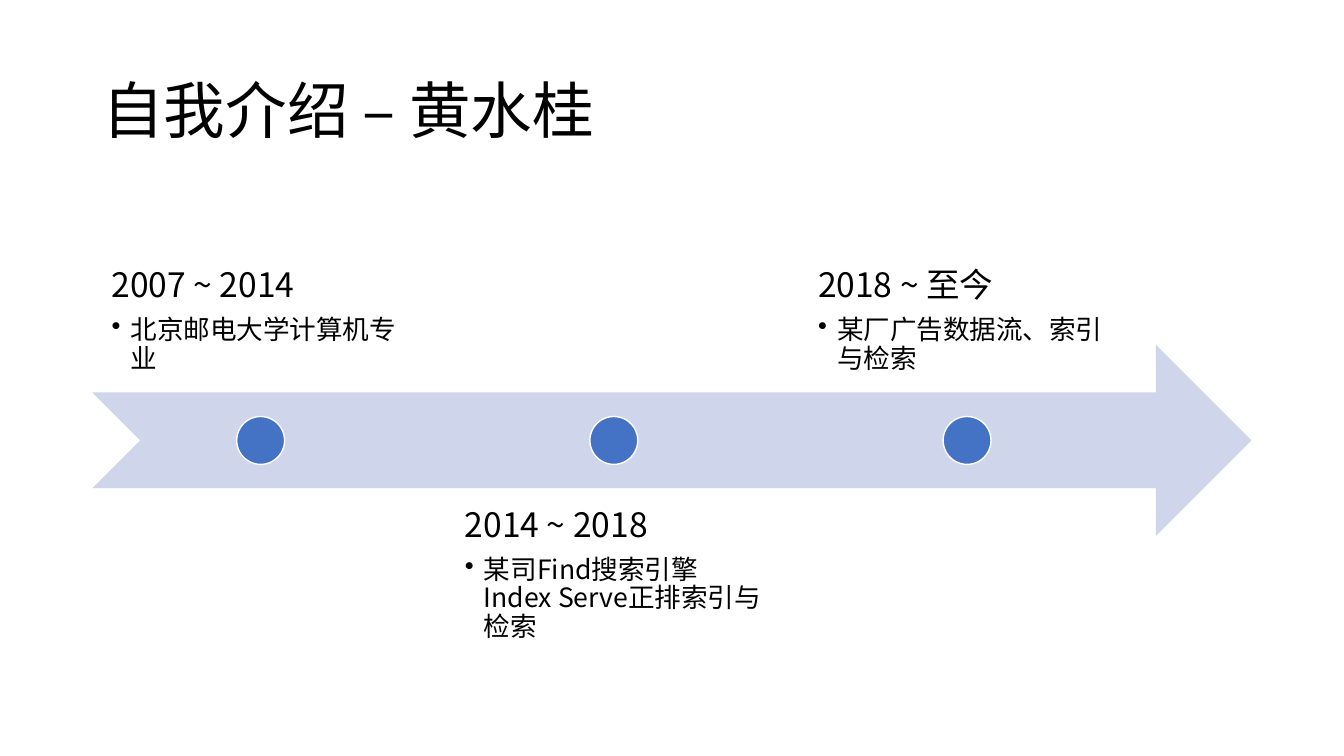
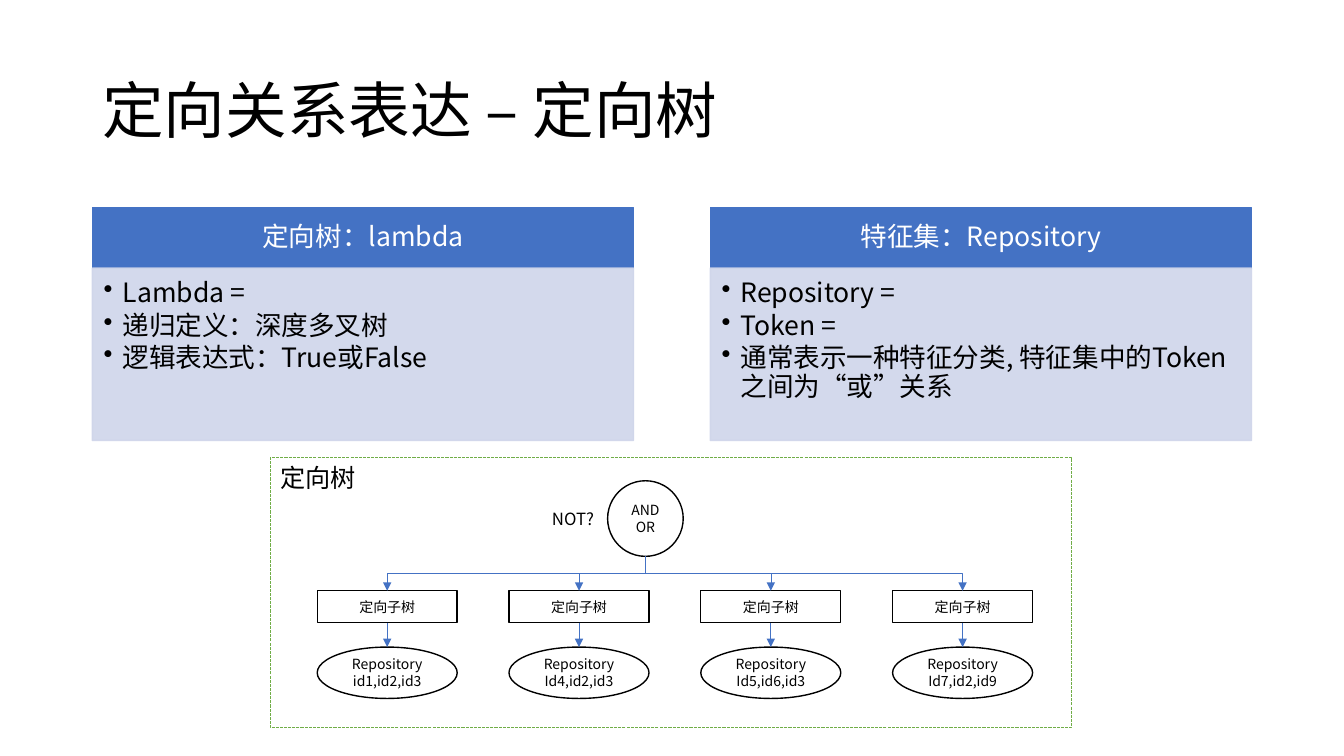
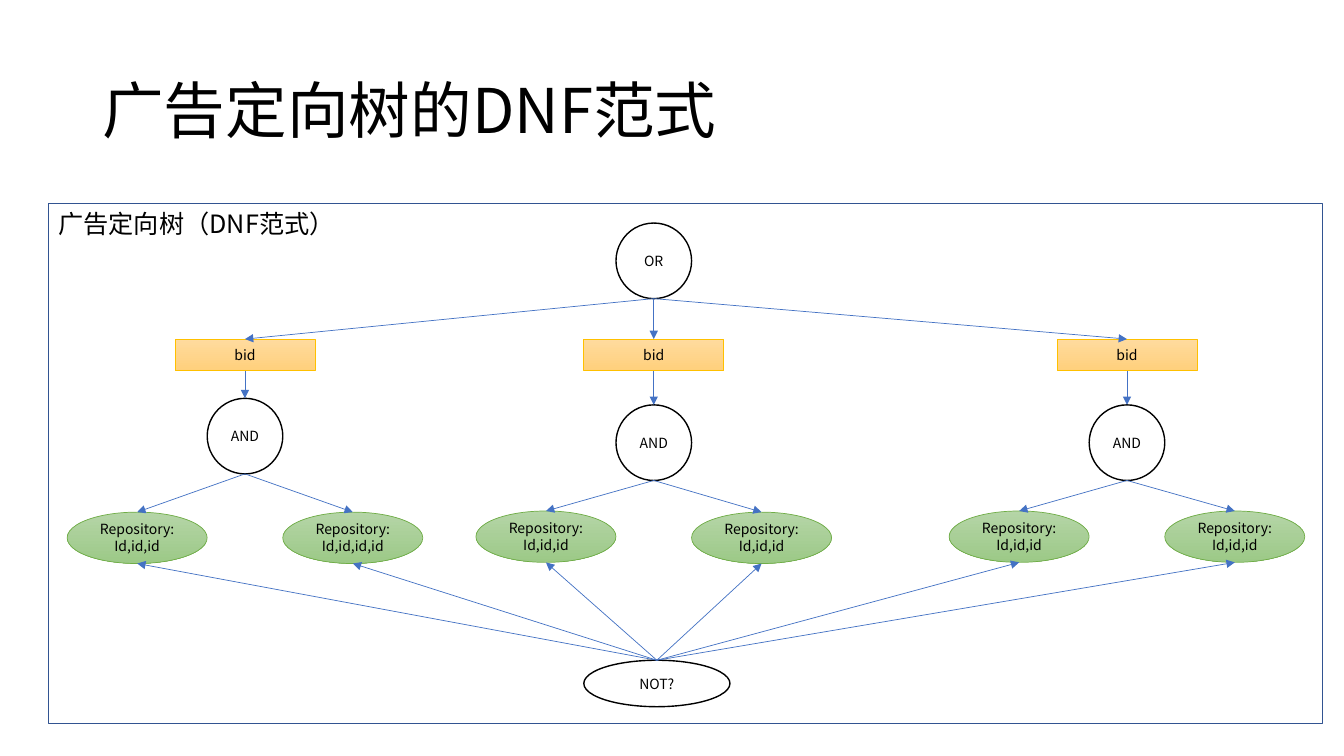
"""Build three slides on ad targeting: a career timeline, a targeting tree and its DNF form."""
from pptx import Presentation
from pptx.dml.color import RGBColor
from pptx.enum.dml import MSO_LINE
from pptx.enum.shapes import MSO_CONNECTOR as CONN, MSO_SHAPE as SHAPE
from pptx.enum.text import MSO_ANCHOR as ANCHOR, PP_ALIGN as ALIGN
from pptx.oxml.ns import qn
from pptx.util import Pt
from lxml.etree import SubElement

FONT = "Noto Sans CJK SC"
BLACK = RGBColor(0x00, 0x00, 0x00)
WHITE = RGBColor(0xFF, 0xFF, 0xFF)
BLUE = RGBColor(0x44, 0x72, 0xC4)
PALE = RGBColor(0xCF, 0xD5, 0xEA)
NAVY = RGBColor(0x32, 0x54, 0x91)
GREEN = RGBColor(0x70, 0xAD, 0x47)
GOLD = RGBColor(0xFF, 0xC0, 0x00)
GREEN_FADE = (RGBColor(0xB5, 0xD5, 0xA7), RGBColor(0x9C, 0xC9, 0x87))
GOLD_FADE = (RGBColor(0xFF, 0xDB, 0x9E), RGBColor(0xFF, 0xD0, 0x7C))

INSETS = (7.2, 3.6, 7.2, 3.6)
LEFT, WIDTH = 66, 828
CIRCLE = 54
NODE_W, BOX_H, OVAL_H = 100, 22.7, 36.7

TIMELINE_TITLE = "自我介绍 – 黄水桂"
CAREER = [
    ("2007 ~ 2014", "北京邮电大学计算机专业"),
    ("2014 ~ 2018", "某司Find搜索引擎Index Serve正排索引与检索"),
    ("2018 ~ 至今", "某厂广告数据流、索引与检索"),
]

TREE_TITLE = "定向关系表达 – 定向树"
PANELS = [
    ("定向树：lambda",
     ["Lambda =", "递归定义：深度多叉树", "逻辑表达式：True或False"]),
    ("特征集：Repository",
     ["Repository =", "Token =",
      "通常表示一种特征分类, 特征集中的Token之间为“或”关系"]),
]
SUBTREE = "定向子树"
SUBTREE_IDS = ["id1,id2,id3", "Id4,id2,id3", "Id5,id6,id3", "Id7,id2,id9"]

DNF_TITLE = "广告定向树的DNF范式"
BRANCHES = [
    (175, 284.5, [("Id,id,id", 365.8), ("Id,id,id,id", 365.8)]),
    (467, 289.2, [("Id,id,id", 365), ("Id,id,id", 365.8)]),
    (805, 289.2, [("Id,id,id", 365), ("Id,id,id", 365)]),
]
LEAF_OFFSET = 77


def write(shape, lines, size, color=BLACK, align=ALIGN.LEFT, anchor=ANCHOR.MIDDLE,
          insets=INSETS, spacing=None):
    tf = shape.text_frame
    tf.word_wrap = True
    tf.vertical_anchor = anchor
    tf.margin_left, tf.margin_top, tf.margin_right, tf.margin_bottom = map(Pt, insets)
    for i, line in enumerate(lines):
        p = tf.paragraphs[0] if i == 0 else tf.add_paragraph()
        add_line(p, line, size, color, align, spacing)
    return tf


def add_line(p, text, size, color=BLACK, align=ALIGN.LEFT, spacing=None):
    p.alignment = align
    if spacing:
        p.line_spacing = spacing
    r = p.add_run()
    r.text = text
    r.font.size = Pt(size)
    r.font.name = FONT
    r.font.color.rgb = color
    SubElement(r.font._element, qn("a:ea")).set("typeface", FONT)


def bullet(p):
    p.space_after = Pt(2.85)
    pPr = p._p.get_or_add_pPr()
    pPr.set("marL", str(Pt(13.7)))
    pPr.set("indent", str(-Pt(13.7)))
    SubElement(pPr, qn("a:buChar")).set("char", "•")


def add_box(s, kind, x, y, w, h, fill=None, line=None, weight=1):
    sp = s.shapes.add_shape(kind, Pt(x), Pt(y), Pt(w), Pt(h))
    sp.shadow.inherit = False
    if fill is None:
        sp.fill.background()
    elif isinstance(fill, RGBColor):
        sp.fill.solid()
        sp.fill.fore_color.rgb = fill
    else:
        sp.fill.gradient()
        sp.fill.gradient_angle = 270
        for stop, color in zip(sp.fill.gradient_stops, fill):
            stop.color.rgb = color
    if line is None:
        sp.line.fill.background()
    else:
        sp.line.color.rgb = line
        sp.line.width = Pt(weight)
    return sp


def node(s, kind, center, y, w, h, lines, fill=WHITE, line=BLACK, weight=1):
    sp = add_box(s, kind, center - w / 2, y, w, h, fill, line, weight)
    write(sp, lines, 10, align=ALIGN.CENTER)
    return sp


def circle(s, center, y, *lines):
    return node(s, SHAPE.OVAL, center, y, CIRCLE, CIRCLE, lines)


def frame(s, x, y, w, h, label, line, weight):
    sp = add_box(s, SHAPE.RECTANGLE, x, y, w, h, None, line, weight)
    write(sp, [label], 18, anchor=ANCHOR.TOP)
    return sp


def style_arrow(c):
    c.line.color.rgb = BLUE
    c.line.width = Pt(0.5)
    SubElement(c.line._get_or_add_ln(), qn("a:tailEnd")).set("type", "triangle")
    SubElement(c._element.spPr, qn("a:effectLst"))


def port(sp, bottom):
    return sp.left + sp.width // 2, sp.top + (sp.height if bottom else 0)


def can_join(sp, bottom):
    return not bottom or sp.auto_shape_type == SHAPE.RECTANGLE


def arrow(s, a, b, down=True):
    c = s.shapes.add_connector(CONN.STRAIGHT, *port(a, down), *port(b, not down))
    if can_join(a, down):
        c.begin_connect(a, 2 if down else 0)
    if can_join(b, not down):
        c.end_connect(b, 0 if down else 2)
    style_arrow(c)


def elbow_arrow(s, a, b):
    (x1, y1), (x2, y2) = port(a, True), port(b, False)
    mid_x, mid_y = (x1 + x2) // 2, (y1 + y2) // 2
    half_w, half_h = (y2 - y1) // 2, abs(x2 - x1) // 2
    c = s.shapes.add_connector(CONN.ELBOW, mid_x - half_w, mid_y - half_h,
                               mid_x + half_w, mid_y + half_h)
    xfrm = c._element.spPr.find(qn("a:xfrm"))
    xfrm.set("rot", str((90 if x2 < x1 else 270) * 60000))
    if x2 > x1:
        xfrm.set("flipH", "1")
    style_arrow(c)


def text_box(s, x, y, w, h):
    return s.shapes.add_textbox(Pt(x), Pt(y), Pt(w), Pt(h))


def new_slide(prs, title):
    s = prs.slides.add_slide(prs.slide_layouts[6])
    write(text_box(s, LEFT, 28.8, WIDTH, 104.4), [title], 44, spacing=0.9)
    return s


def timeline_slide(prs):
    s = new_slide(prs, TIMELINE_TITLE)
    top, height, width, step, dot = 246.2, 136.8, 240.3, 252.3, 34.2
    add_box(s, SHAPE.NOTCHED_RIGHT_ARROW, LEFT, top, WIDTH, height, PALE)
    for i, (years, work) in enumerate(CAREER):
        x = LEFT + i * step
        below = i % 2 == 1
        tf = write(text_box(s, x, 349.2 if below else 144, width, height), [years], 24,
                   anchor=ANCHOR.TOP if below else ANCHOR.BOTTOM,
                   insets=(13.7,) * 4, spacing=0.9)
        tf.paragraphs[0].space_after = Pt(8.4)
        p = tf.add_paragraph()
        add_line(p, work, 19, spacing=0.9)
        bullet(p)
        add_box(s, SHAPE.OVAL, x + (width - dot) / 2, top + (height - dot) / 2,
                dot, dot, BLUE, WHITE)


def tree_slide(prs):
    s = new_slide(prs, TREE_TITLE)
    width, top, head_h, body_h = 386.6, 148.3, 43.2, 123.1
    for i, (head, points) in enumerate(PANELS):
        x = LEFT + i * (WIDTH - width)
        sp = add_box(s, SHAPE.RECTANGLE, x, top, width, head_h, BLUE, BLUE)
        write(sp, [head], 19, WHITE, ALIGN.CENTER, insets=(10.8, 5.8, 10.8, 5.8), spacing=0.9)
        sp = add_box(s, SHAPE.RECTANGLE, x, top + head_h, width, body_h, PALE, PALE)
        for clr in sp._element.spPr.iter(qn("a:srgbClr")):
            SubElement(clr, qn("a:alpha")).set("val", "90000")
        tf = write(sp, points, 19, anchor=ANCHOR.TOP, insets=(8, 8, 10.8, 12), spacing=0.9)
        for p in tf.paragraphs:
            bullet(p)

    sp = frame(s, 193, 326.9, 572.4, 193, "定向树", GREEN, 0.75)
    sp.line.dash_style = MSO_LINE.SQUARE_DOT
    root = circle(s, 461, 343.4, "AND", "OR")
    for i, ids in enumerate(SUBTREE_IDS):
        center = 276.6 + i * 137
        box = node(s, SHAPE.RECTANGLE, center, 422, NODE_W, BOX_H, [SUBTREE])
        oval = node(s, SHAPE.OVAL, center, 462.2, NODE_W, OVAL_H, ["Repository", ids])
        elbow_arrow(s, root, box)
        arrow(s, box, oval)
    write(text_box(s, 384.5, 360, 49.7, 21.6), ["NOT?"], 12,
          align=ALIGN.CENTER, anchor=ANCHOR.TOP)


def dnf_slide(prs):
    s = new_slide(prs, DNF_TITLE)
    frame(s, 34.6, 145.4, 910, 371.5, "广告定向树（DNF范式）", NAVY, 1)
    root = circle(s, 467, 159.3, "OR")
    negate = node(s, SHAPE.OVAL, 469.2, 471.6, 104.4, 33.2, ["NOT?"])
    for center, and_top, leaves in BRANCHES:
        bid = node(s, SHAPE.RECTANGLE, center, 242.2, NODE_W, BOX_H, ["bid"],
                   GOLD_FADE, GOLD, 0.5)
        both = circle(s, center, and_top, "AND")
        arrow(s, root, bid)
        arrow(s, bid, both)
        for side, (ids, y) in zip((-1, 1), leaves):
            leaf = node(s, SHAPE.OVAL, center + side * LEAF_OFFSET, y, NODE_W, OVAL_H,
                        ["Repository:", ids], GREEN_FADE, GREEN, 0.5)
            arrow(s, both, leaf)
            arrow(s, negate, leaf, down=False)


def main():
    prs = Presentation()
    prs.slide_width, prs.slide_height = Pt(960), Pt(540)
    timeline_slide(prs)
    tree_slide(prs)
    dnf_slide(prs)
    prs.save("out.pptx")


if __name__ == "__main__":
    main()
